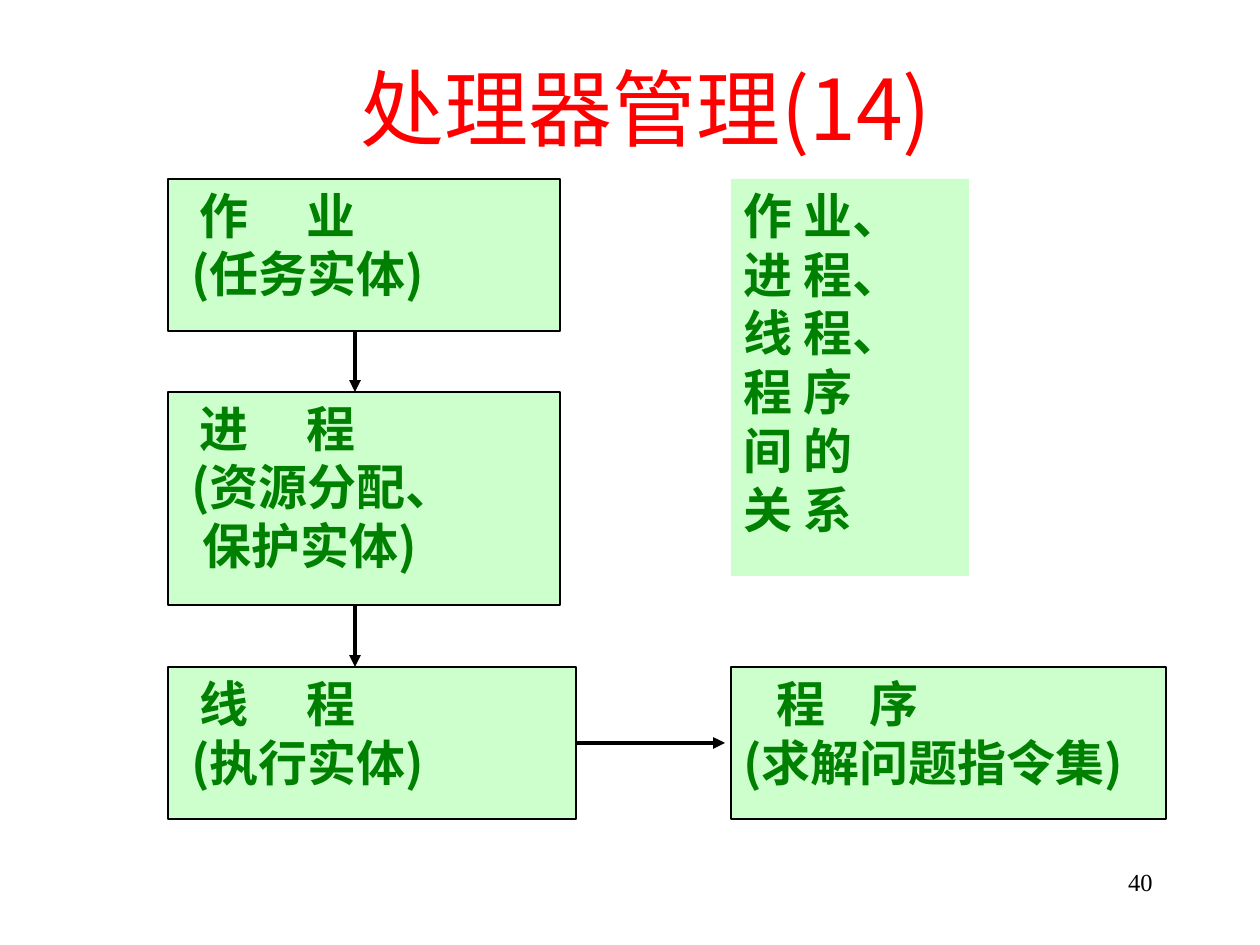
from dataclasses import dataclass

from lxml import etree
from pptx import Presentation
from pptx.dml.color import RGBColor
from pptx.enum.shapes import MSO_CONNECTOR, MSO_SHAPE
from pptx.enum.text import MSO_ANCHOR, PP_ALIGN
from pptx.oxml.ns import qn
from pptx.util import Pt

PX = 914400 // 126
RECTANGLE = MSO_SHAPE.RECTANGLE
STRAIGHT = MSO_CONNECTOR.STRAIGHT
TOP, MIDDLE = MSO_ANCHOR.TOP, MSO_ANCHOR.MIDDLE
LEFT, CENTER, RIGHT = PP_ALIGN.LEFT, PP_ALIGN.CENTER, PP_ALIGN.RIGHT
RIGHT_SIDE = 3


@dataclass(frozen=True)
class Theme:
    cjk_font: str = "Noto Sans CJK SC"
    number_font: str = "Times New Roman"
    title_color: RGBColor = RGBColor(0xFF, 0x00, 0x00)
    text_color: RGBColor = RGBColor(0x00, 0x80, 0x00)
    fill_color: RGBColor = RGBColor(0xCC, 0xFF, 0xCC)
    ink: RGBColor = RGBColor(0x00, 0x00, 0x00)
    title_size: int = 48
    body_size: int = 28
    number_size: int = 14
    border: float = 0.75
    arrow: float = 2.25


class SlideBuilder:
    def __init__(self, slide, theme):
        self.slide = slide
        self.theme = theme

    def style(self, paragraph, size, color, font, bold=False, align=LEFT):
        paragraph.alignment = align
        for run in paragraph.runs:
            run.font.size = Pt(size)
            run.font.bold = bold
            run.font.name = font
            run.font.color.rgb = color
            east_asian = etree.SubElement(run._r.get_or_add_rPr(), qn("a:ea"))
            east_asian.set("typeface", font)

    def title(self, text, left, top, width, height):
        title = self.slide.shapes.title
        title.left, title.top = left * PX, top * PX
        title.width, title.height = width * PX, height * PX
        title.text_frame.text = text
        title.text_frame.vertical_anchor = MIDDLE
        t = self.theme
        self.style(title.text_frame.paragraphs[0], t.title_size,
                   t.title_color, t.cjk_font, align=CENTER)

    def box(self, lines, left, top, width, height, indents=(), tab=None,
            bordered=True):
        t = self.theme
        box = self.slide.shapes.add_shape(
            RECTANGLE, left * PX, top * PX, width * PX, height * PX)
        box.shadow.inherit = False
        box.fill.solid()
        box.fill.fore_color.rgb = t.fill_color
        if bordered:
            box.line.color.rgb = t.ink
            box.line.width = Pt(t.border)
        else:
            box.line.fill.background()
        frame = box.text_frame
        frame.word_wrap = True
        frame.vertical_anchor = TOP
        frame.text = "\n".join(lines)
        for paragraph in frame.paragraphs:
            self.style(paragraph, t.body_size, t.text_color, t.cjk_font, True)
        # First-line indents, and a tab stop that spreads the heading
        for paragraph, indent in zip(frame.paragraphs, indents):
            properties = paragraph._p.get_or_add_pPr()
            properties.set("marL", "0")
            properties.set("indent", str(indent * PX))
        if tab:
            heading = frame.paragraphs[0]._p.get_or_add_pPr()
            stops = etree.SubElement(heading, qn("a:tabLst"))
            etree.SubElement(stops, qn("a:tab"), pos=str(tab * PX), algn="l")
        return box

    def arrow(self, x1, y1, x2, y2, source=None):
        arrow = self.slide.shapes.add_connector(
            STRAIGHT, x1 * PX, y1 * PX, x2 * PX, y2 * PX)
        if source is not None:
            arrow.begin_connect(source, RIGHT_SIDE)
        arrow.line.color.rgb = self.theme.ink
        arrow.line.width = Pt(self.theme.arrow)
        etree.SubElement(arrow.line._get_or_add_ln(), qn("a:tailEnd"),
                         type="triangle")
        etree.SubElement(arrow._element.spPr, qn("a:effectLst"))

    def page_number(self, text, left, top, width, height):
        t = self.theme
        number = self.slide.shapes.add_textbox(
            left * PX, top * PX, width * PX, height * PX)
        number.text_frame.word_wrap = True
        number.text_frame.text = text
        self.style(number.text_frame.paragraphs[0], t.number_size, t.ink,
                   t.number_font, align=RIGHT)


def main():
    presentation = Presentation()
    presentation.slide_width = 1260 * PX
    presentation.slide_height = 945 * PX
    slide = presentation.slides.add_slide(presentation.slide_layouts[5])
    builder = SlideBuilder(slide, Theme())

    builder.title("处理器管理(14)", 126, 54, 1040, 105)

    # Chain of entities: job, process, thread
    left, right_column = 168, 731
    entities = [
        (["作\t业", "(任务实体)"], 179, 392, 152),
        (["进\t程", "(资源分配、", "保护实体)"], 392, 392, 213),
        (["线\t程", "(执行实体)"], 667, 408, 152),
    ]
    for lines, top, width, height in entities:
        thread = builder.box(lines, left, top, width, height,
                             indents=(19, 11, 22), tab=123)

    # Program that the thread runs
    program_top, program_height = entities[-1][1], entities[-1][3]
    builder.box(["程\t序", "(求解问题指令集)"], right_column, program_top,
                435, program_height, indents=(33, 0), tab=126)

    # Subject of the diagram
    builder.box(["作 业、", "进 程、", "线 程、", "程 序", "间 的", "关 系"],
                right_column, 179, 238, 397, bordered=False)

    # Arrows down the chain and across to the program
    for (_, top, _, height), (_, next_top, _, _) in zip(entities, entities[1:]):
        builder.arrow(355, top + height, 355, next_top)
    middle = program_top + program_height // 2
    builder.arrow(576, middle, 725, middle, source=thread)

    builder.page_number("40", 903, 861, 262, 63)
    presentation.save("out.pptx")


if __name__ == "__main__":
    main()
